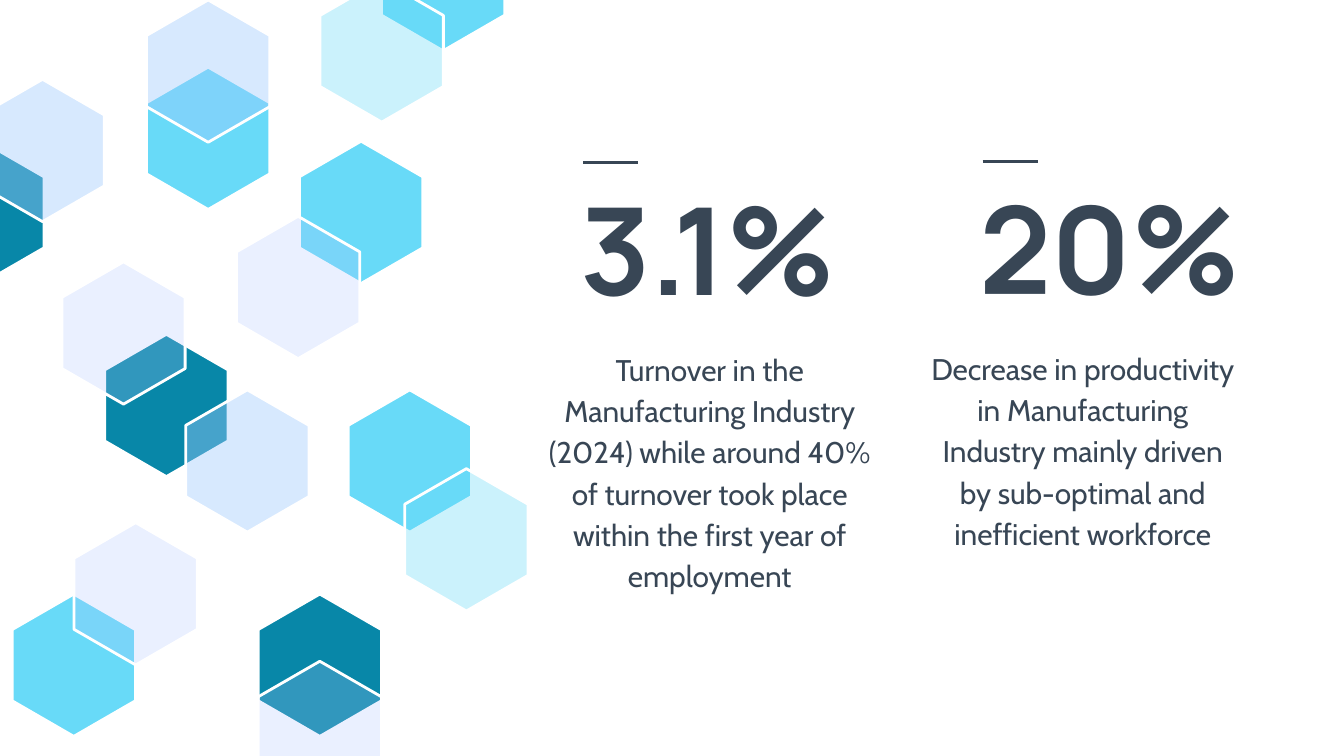
from typing import NamedTuple

from lxml.etree import SubElement
from pptx import Presentation
from pptx.dml.color import RGBColor
from pptx.enum.shapes import MSO_CONNECTOR
from pptx.enum.text import MSO_ANCHOR, PP_ALIGN
from pptx.oxml.ns import qn
from pptx.shapes.shapetree import GroupShapes, SlideShapes
from pptx.util import Cm, Pt

SLATE = RGBColor(0x38, 0x46, 0x55)
WHITE = RGBColor(0xFF, 0xFF, 0xFF)
CYAN = RGBColor(0x68, 0xDA, 0xF8)
TEAL = RGBColor(0x08, 0x87, 0xA8)
SKY = RGBColor(0x9F, 0xCB, 0xFD)
LAVENDER = RGBColor(0xAF, 0xC7, 0xFF)

HEXAGON_WIDTH = 2.33
HEXAGON_HEIGHT = 2.69
# Corners as fractions of the hexagon's width and height
HEXAGON_CORNERS = [(0.5, 0), (1, 0.25), (1, 0.75), (0.5, 1), (0, 0.75), (0, 0.25)]
LINE_WIDTH = Pt(1.5)
RULE_LENGTH = 1.04
INSET = Cm(0.25)


class Hexagon(NamedTuple):
    left: float
    top: float
    color: RGBColor
    opacity: int = 100


class Statistic(NamedTuple):
    figure: str
    description: str
    figure_left: float
    top: float
    rule_left: float
    description_left: float
    description_width: float


HEXAGONS = [
    Hexagon(0.23, 11.23, CYAN),
    Hexagon(2.77, 1.27, CYAN),
    Hexagon(5.66, 2.67, CYAN),
    Hexagon(-1.5, 2.67, TEAL),
    Hexagon(2.77, 0, SKY, 41),
    Hexagon(1.98, 6.32, TEAL),
    Hexagon(1.17, 4.95, LAVENDER, 25),
    Hexagon(4.47, 4.09, LAVENDER, 25),
    Hexagon(7.21, -1.73, CYAN),
    Hexagon(3.51, 7.37, SKY, 41),
    Hexagon(6.05, -0.38, CYAN, 34),
    Hexagon(4.88, 11.23, TEAL),
    Hexagon(6.58, 7.37, CYAN),
    Hexagon(1.4, 9.88, LAVENDER, 25),
    Hexagon(4.88, 12.5, LAVENDER, 25),
    Hexagon(-0.36, 1.5, SKY, 41),
    Hexagon(7.65, 8.86, CYAN, 34),
]

STATISTICS = [
    Statistic(
        "3.1%",
        "Turnover in the Manufacturing Industry (2024) while around 40% "
        "of turnover took place within the first year of employment",
        10.72, 3.07, 11.02, 9.96, 6.91,
    ),
    Statistic(
        "20%",
        "Decrease in productivity in Manufacturing Industry mainly driven "
        "by sub-optimal and inefficient workforce",
        18.26, 3.05, 18.57, 17.25, 6.43,
    ),
]


def draw_hexagon(shapes: GroupShapes, hexagon: Hexagon) -> None:
    corners = [
        (Cm(hexagon.left + x * HEXAGON_WIDTH), Cm(hexagon.top + y * HEXAGON_HEIGHT))
        for x, y in HEXAGON_CORNERS
    ]
    builder = shapes.build_freeform(*corners[0])
    builder.add_line_segments(corners[1:], close=True)
    shape = builder.convert_to_shape()
    shape.shadow.inherit = False
    shape.fill.solid()
    shape.fill.fore_color.rgb = hexagon.color
    shape.line.color.rgb = WHITE
    shape.line.width = LINE_WIDTH
    if hexagon.opacity < 100:
        color = shape.fill._xPr.find(qn("a:solidFill")).find(qn("a:srgbClr"))
        SubElement(color, qn("a:alpha"), val=str(hexagon.opacity * 1000))


def draw_text(shapes: SlideShapes, text: str, left: float, top: float, width: float,
              height: float, font_name: str, size: int, bold: bool = False,
              alignment: PP_ALIGN = PP_ALIGN.LEFT, anchor: MSO_ANCHOR = MSO_ANCHOR.TOP,
              line_spacing: float = 1.0) -> None:
    frame = shapes.add_textbox(Cm(left), Cm(top), Cm(width), Cm(height)).text_frame
    frame.word_wrap = True
    frame.vertical_anchor = anchor
    frame.margin_left = frame.margin_right = INSET
    frame.margin_top = frame.margin_bottom = INSET
    paragraph = frame.paragraphs[0]
    paragraph.text = text
    paragraph.alignment = alignment
    paragraph.line_spacing = line_spacing
    paragraph.font.name = font_name
    paragraph.font.size = Pt(size)
    paragraph.font.bold = bold
    paragraph.font.color.rgb = SLATE


def draw_rule(shapes: SlideShapes, left: float, top: float) -> None:
    rule = shapes.add_connector(
        MSO_CONNECTOR.STRAIGHT, Cm(left), Cm(top), Cm(left + RULE_LENGTH), Cm(top)
    )
    rule.line.color.rgb = SLATE
    rule.line.width = LINE_WIDTH
    SubElement(rule._element.spPr, qn("a:effectLst"))


def draw_statistic(shapes: SlideShapes, statistic: Statistic) -> None:
    """Draw a short rule, the large figure below it and its description."""
    draw_text(shapes, statistic.figure, statistic.figure_left, statistic.top, 12.7, 3.23,
              "Manrope", 65, bold=True, anchor=MSO_ANCHOR.BOTTOM)
    draw_text(shapes, statistic.description, statistic.description_left,
              statistic.top + 3.23, statistic.description_width, 1.85,
              "Cabin", 16, alignment=PP_ALIGN.CENTER, line_spacing=1.15)
    draw_rule(shapes, statistic.rule_left, statistic.top)


def main() -> None:
    presentation = Presentation()
    presentation.slide_width = Cm(25.4)
    presentation.slide_height = Cm(14.29)
    slide = presentation.slides.add_slide(presentation.slide_layouts[6])
    honeycomb = slide.shapes.add_group_shape()
    for hexagon in HEXAGONS:
        draw_hexagon(honeycomb.shapes, hexagon)
    for statistic in STATISTICS:
        draw_statistic(slide.shapes, statistic)
    presentation.save("out.pptx")


if __name__ == "__main__":
    main()
